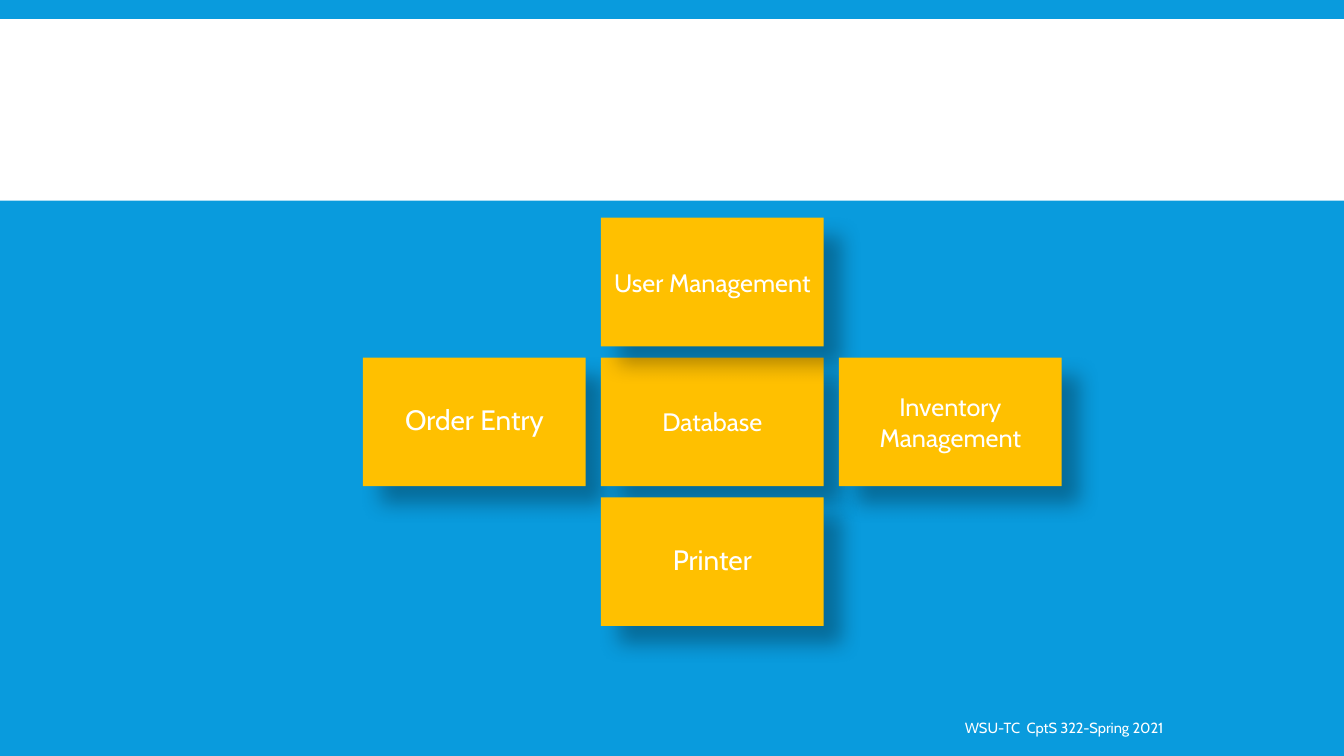
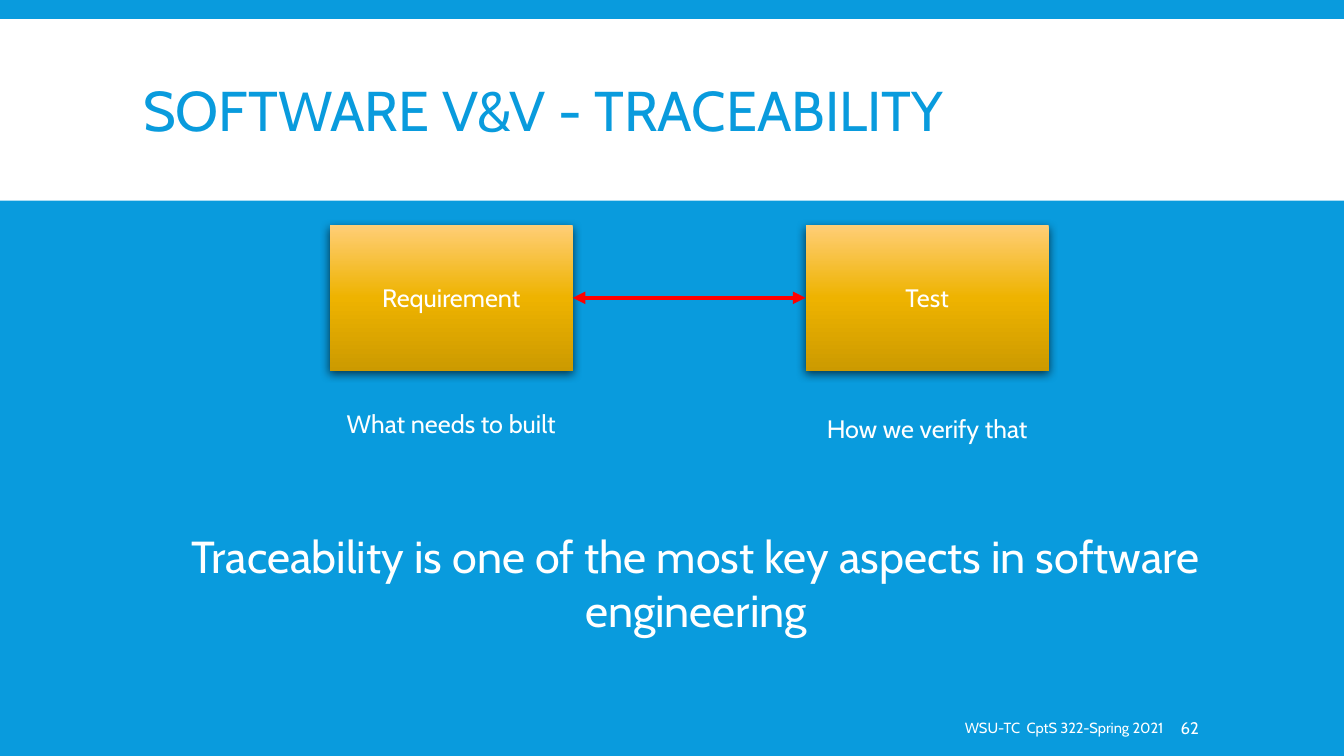
from copy import deepcopy

from pptx import Presentation
from pptx import util as u
from pptx.dml.color import RGBColor
from pptx.enum import shapes, text
from pptx.oxml import parse_xml
from pptx.oxml.ns import nsdecls, qn

WIDTH, HEIGHT = 13.33, 7.5
BLUE, WHITE, AMBER, RED = "099BDD", "FFFFFF", "FFC000", "FF0000"
GOLD_STOPS = [(0, "FFCE77"), (0.5, "EEB300"), (1, "CC9A00")]
FONT = "Cabin"
FOOTER = "WSU-TC  CptS 322-Spring 2021"
TITLE_ONLY, BLANK = 5, 6
ALIGN = text.PP_ALIGN
MIDDLE = text.MSO_ANCHOR.MIDDLE

BAND = (0, 0.19, WIDTH, 1.8)
TITLE = (1.32, 0.31, 10.7, 1.65)
FOOTER_BOX = (6.12, 7.02, 5.52, 0.4)
NUMBER_BOX = (11.66, 7.02, 1.03, 0.4)

# blur and distance in points, direction in degrees, opacity in percent
SOFT_SHADOW = dict(blur=15, dist=18, angle=45, opacity=30)
TIGHT_SHADOW = dict(blur=7, dist=2.2, angle=90, opacity=63)


def color(value):
    return RGBColor.from_string(value)


def inches(box):
    return [u.Inches(v) for v in box]


def write(sp, words, size, ink=WHITE, anchor=MIDDLE, insets=None, **para):
    tf = sp.text_frame
    frame = dict(word_wrap=True, vertical_anchor=anchor,
                 auto_size=text.MSO_AUTO_SIZE.NONE)
    for side, inset in (insets or {}).items():
        frame[f"margin_{side}"] = u.Inches(inset)
    p = tf.paragraphs[0]
    r = p.add_run()
    r.text = words
    for target, values in ((tf, frame), (p, para),
                           (r.font, dict(name=FONT, size=u.Pt(size)))):
        for name, value in values.items():
            setattr(target, name, value)
    r.font.color.rgb = color(ink)


def add_text(s, box, words, size, **fmt):
    write(s.shapes.add_textbox(*inches(box)), words, size, **fmt)


def add_rect(s, box, fill):
    """fill is one colour, or a list of (position, colour) from top to bottom."""
    sp = s.shapes.add_shape(shapes.MSO_SHAPE.RECTANGLE, *inches(box))
    sp.shadow.inherit = False
    sp.line.fill.background()
    if isinstance(fill, str):
        sp.fill.solid()
        sp.fill.fore_color.rgb = color(fill)
    else:
        sp.fill.gradient()
        sp.fill.gradient_angle = 270
        stops = sp._element.spPr.find(".//" + qn("a:gsLst"))
        while len(stops) < len(fill):
            stops.append(deepcopy(stops[0]))
        for stop, (position, value) in zip(sp.fill.gradient_stops, fill):
            stop.position = position
            stop.color.rgb = color(value)
    return sp


def add_shadow(sp, blur, dist, angle, opacity):
    sp._element.spPr.find(qn("a:effectLst")).append(parse_xml(
        f'<a:outerShdw {nsdecls("a")} blurRad="{u.Pt(blur)}" dist="{u.Pt(dist)}" '
        f'dir="{angle * 60000}" algn="t" rotWithShape="0"><a:srgbClr val="000000">'
        f'<a:alpha val="{opacity * 1000}"/></a:srgbClr></a:outerShdw>'))


def add_double_arrow(s, x1, x2, y):
    line = s.shapes.add_connector(shapes.MSO_CONNECTOR.STRAIGHT,
                                  *inches((x1, y, x2, y)))
    line.line.color.rgb = color(RED)
    line.line.width = u.Pt(3)
    for end in ("headEnd", "tailEnd"):
        line.line._get_or_add_ln().append(
            parse_xml(f'<a:{end} {nsdecls("a")} type="triangle"/>'))
    line._element.spPr.append(parse_xml(f'<a:effectLst {nsdecls("a")}/>'))


def style_master(prs, s):
    """Set the background and move a band drawn on s behind every slide."""
    master = prs.slide_master
    master.background.fill.solid()
    master.background.fill.fore_color.rgb = color(BLUE)
    band = add_rect(s, BAND, WHITE)
    master.shapes._spTree.insert(2, band._element)


def add_footer(s, number=None):
    add_text(s, FOOTER_BOX, FOOTER, 10.5, alignment=ALIGN.RIGHT)
    if number:
        add_text(s, NUMBER_BOX, number, 12, alignment=ALIGN.LEFT,
                 insets=dict(left=0.05))


def add_title(s, words):
    sp = s.shapes.title
    sp.left, sp.top, sp.width, sp.height = inches(TITLE)
    write(sp, words, 40, ink=BLUE, alignment=ALIGN.LEFT, line_spacing=0.85)


def module_cross(s, box):
    """Modules on a 3 by 3 grid around the database."""
    left, top, width, height = box
    gap_x, gap_y = 0.15, 0.11
    w, h = (width - 2 * gap_x) / 3, (height - 2 * gap_y) / 3
    modules = [("Order Entry", 0, 1, 20, 0.9),
               ("Database", 1, 1, 18, 1),
               ("User Management", 1, 0, 18, 1),
               ("Inventory Management", 2, 1, 18, 1),
               ("Printer", 1, 2, 20, 0.9)]
    for name, col, row, size, spacing in modules:
        cell = (left + col * (w + gap_x), top + row * (h + gap_y), w, h)
        sp = add_rect(s, cell, AMBER)
        add_shadow(sp, **SOFT_SHADOW)
        write(sp, name, size, alignment=ALIGN.CENTER,
              line_spacing=spacing, space_after=u.Pt(6))


def trace_pair(s, box):
    """Two linked cards at the ends of the box, each with a caption below."""
    left, top, width, height = box
    w, h = 2.41, 1.45
    cards = [("Requirement", left, "What needs to built", 1.77),
             ("Test", left + width - w, "How we verify that", 1.82)]
    for name, x, caption, drop in cards:
        sp = add_rect(s, (x, top, w, h), GOLD_STOPS)
        add_shadow(sp, **TIGHT_SHADOW)
        write(sp, name, 18, alignment=ALIGN.CENTER)
        add_text(s, (x, top + drop, w, height - drop), caption, 18,
                 anchor=text.MSO_ANCHOR.TOP, alignment=ALIGN.CENTER)
    add_double_arrow(s, left + w, left + width - w, top + h / 2)


def modules_slide(prs):
    s = prs.slides.add_slide(prs.slide_layouts[BLANK])
    style_master(prs, s)
    module_cross(s, (3.6, 2.16, 6.93, 4.05))
    add_footer(s)


def traceability_slide(prs):
    s = prs.slides.add_slide(prs.slide_layouts[TITLE_ONLY])
    add_title(s, "SOFTWARE V&V - TRACEABILITY")
    add_footer(s, "62")
    trace_pair(s, (3.27, 2.23, 7.13, 2.22))
    add_text(s, (1.25, 5.2, 11.31, 1.18),
             "Traceability is one of the most key aspects in software engineering",
             32, anchor=text.MSO_ANCHOR.TOP, alignment=ALIGN.CENTER)


def main():
    prs = Presentation()
    prs.slide_width, prs.slide_height = inches((WIDTH, HEIGHT))
    modules_slide(prs)
    traceability_slide(prs)
    prs.save("out.pptx")


if __name__ == "__main__":
    main()
